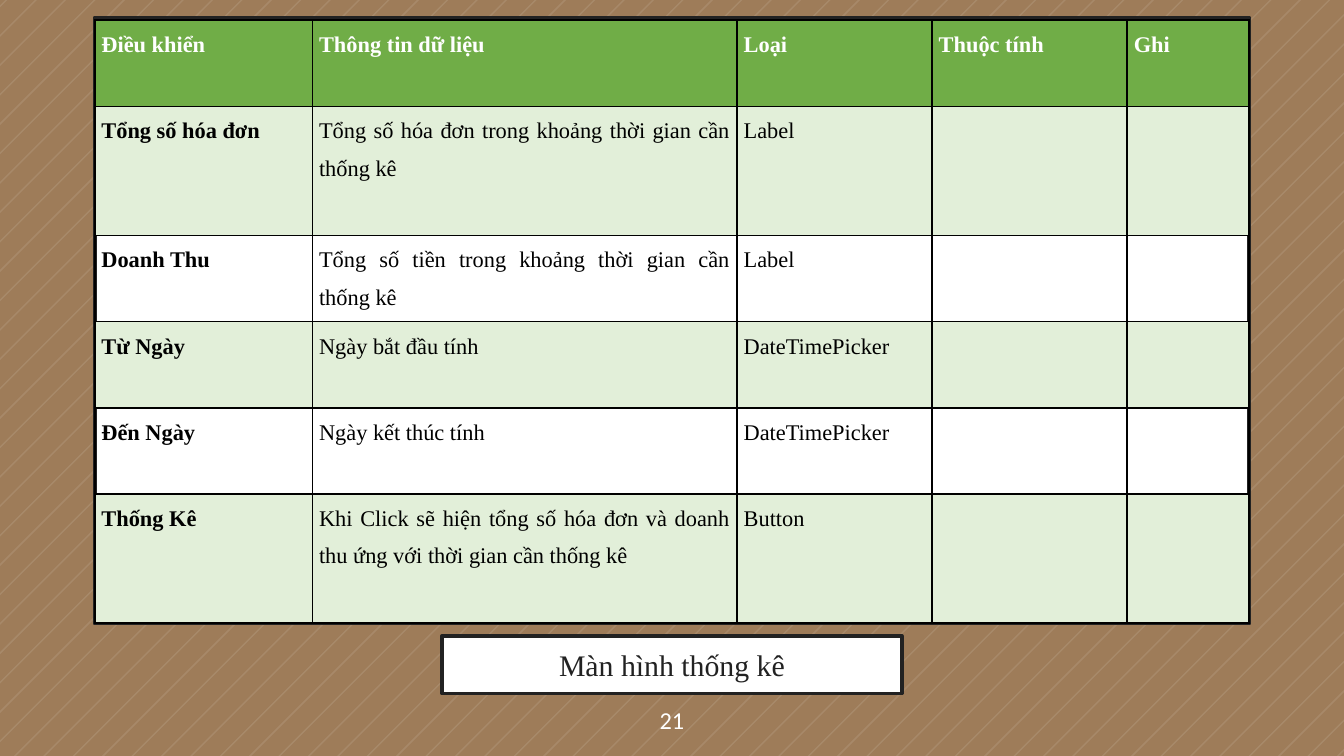
"""Build the slide describing the controls of the statistics screen."""
from lxml import etree
from pptx import Presentation
from pptx.dml.color import RGBColor
from pptx.enum import shapes, text
from pptx.oxml import ns
from pptx.util import Pt

COLORS = {"brown": "9E7C59", "white": "FFFFFF", "ink": "222222",
          "black": "000000", "green": "70AD47", "pale": "E2EFD9"}
WIDTH, HEIGHT = 720, 405
SERIF = "Times New Roman"


def write(frame, content, size=12, font=SERIF, color="black", bold=False,
          align=text.PP_ALIGN.CENTER, spacing=None):
    paragraph = frame.paragraphs[0]
    paragraph.alignment = align
    paragraph.line_spacing = spacing
    run = paragraph.add_run()
    run.text = content
    run.font.size = Pt(size)
    run.font.name = font
    run.font.bold = bold
    run.font.color.rgb = RGBColor.from_string(COLORS[color])


def add_panel(slide, left, top, width, height):
    panel = slide.shapes.add_shape(shapes.MSO_SHAPE.RECTANGLE, Pt(left), Pt(top), Pt(width), Pt(height))
    panel.shadow.inherit = False
    panel.fill.solid()
    panel.fill.fore_color.rgb = RGBColor.from_string(COLORS["white"])
    panel.line.color.rgb = RGBColor.from_string(COLORS["ink"])
    panel.line.width = Pt(2)
    return panel


presentation = Presentation()
presentation.slide_width, presentation.slide_height = Pt(WIDTH), Pt(HEIGHT)
slide = presentation.slides.add_slide(presentation.slide_layouts[6])
slide.background.fill.solid()
slide.background.fill.fore_color.rgb = RGBColor.from_string(COLORS["brown"])

builder = slide.shapes.build_freeform(0, 0)
for index in range(72):
    corners = []
    for offset in (2.95 + 15.75 * index, 4.05 + 15.75 * index):
        upper = (Pt(min(offset, WIDTH)), Pt(max(0, offset - WIDTH)))
        lower = (Pt(max(0, offset - HEIGHT)), Pt(min(offset, HEIGHT)))
        corners += [upper, lower] if not corners else [lower, upper]
    builder.move_to(*corners[0])
    builder.add_line_segments(corners[1:], close=True)
stripes = builder.convert_to_shape()
stripes.shadow.inherit = False
stripes.line.fill.background()
stripes.fill.solid()
stripes.fill.fore_color.rgb = RGBColor.from_string(COLORS["white"])
stripe_color = stripes.fill._xPr.find(".//" + ns.qn("a:srgbClr"))
etree.SubElement(stripe_color, ns.qn("a:alpha"), val="10000")

columns = [116.6, 227.5, 104.5, 104.5, 65.4]
heights = [46.2, 69.2, 46.2, 46.2, 46.2, 69.2]
table_width = sum(columns)
table_left = (WIDTH - table_width) / 2
add_panel(slide, table_left, 9.4, table_width, 324.7)

number_box = slide.shapes.add_textbox(0, Pt(366), Pt(WIDTH), Pt(39))
number_box.text_frame.word_wrap = True
number_box.text_frame.vertical_anchor = text.MSO_ANCHOR.MIDDLE
write(number_box.text_frame, "21", size=13, font="Calibri", color="white")

caption = add_panel(slide, 236.9, 340.7, 246.2, 30.8)
caption.text_frame.vertical_anchor = text.MSO_ANCHOR.MIDDLE
write(caption.text_frame, "Màn hình thống kê", size=16, color="ink")

rows = [
    ["Điều khiển", "Thông tin dữ liệu", "Loại", "Thuộc tính", "Ghi"],
    ["Tổng số hóa đơn", "Tổng số hóa đơn trong khoảng thời gian cần thống kê", "Label", "", ""],
    ["Doanh Thu", "Tổng số tiền trong khoảng thời gian cần thống kê", "Label", "", ""],
    ["Từ Ngày", "Ngày bắt đầu tính", "DateTimePicker", "", ""],
    ["Đến Ngày", "Ngày kết thúc tính", "DateTimePicker", "", ""],
    ["Thống Kê", "Khi Click sẽ hiện tổng số hóa đơn và doanh thu ứng với thời gian cần thống kê",
     "Button", "", ""],
]
table = slide.shapes.add_table(len(rows), len(columns), Pt(table_left), Pt(10.8),
                               Pt(table_width), Pt(sum(heights))).table
table.horz_banding = False
for column, width in zip(table.columns, columns):
    column.width = Pt(width)
for row_index, (row, height) in enumerate(zip(rows, heights)):
    table.rows[row_index].height = Pt(height)
    header = row_index == 0
    for column_index, content in enumerate(row):
        cell = table.cell(row_index, column_index)
        cell.margin_left = cell.margin_right = Pt(3.6)
        cell.margin_top = cell.margin_bottom = 0
        properties = cell._tc.get_or_add_tcPr()
        for side in ("a:lnL", "a:lnR", "a:lnT", "a:lnB"):
            border = etree.SubElement(properties, ns.qn(side), w=str(Pt(1)))
            border_fill = etree.SubElement(border, ns.qn("a:solidFill"))
            etree.SubElement(border_fill, ns.qn("a:srgbClr"), val=COLORS["black"])
        if header or row_index % 2:
            cell.fill.solid()
            cell.fill.fore_color.rgb = RGBColor.from_string(COLORS["green" if header else "pale"])
        else:
            cell.fill.background()
        if content:
            write(cell.text_frame, content, color="white" if header else "black",
                  bold=header or column_index == 0, align=text.PP_ALIGN.JUSTIFY, spacing=1.5)

presentation.save("out.pptx")
